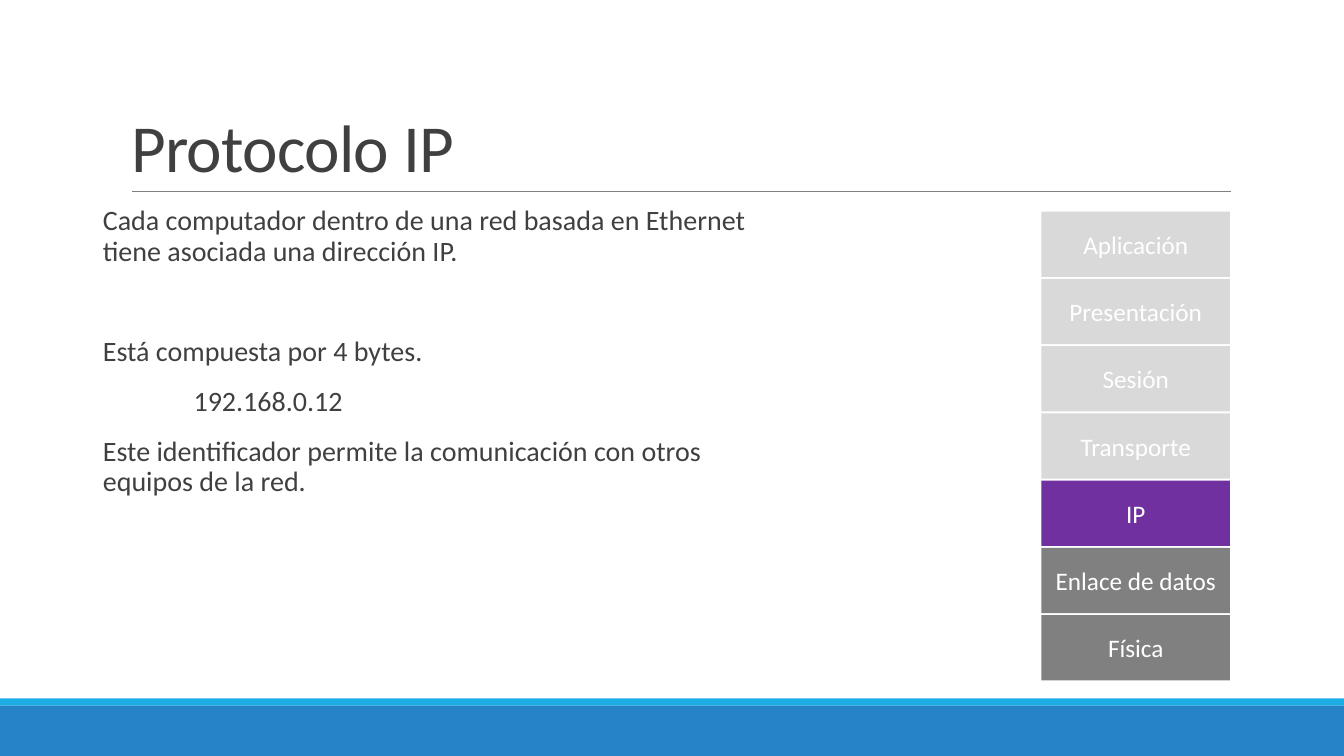
from lxml.etree import SubElement
from pptx import Presentation
from pptx.dml.color import RGBColor
from pptx.enum.shapes import MSO_CONNECTOR, MSO_SHAPE
from pptx.enum.text import MSO_ANCHOR, MSO_AUTO_SIZE, PP_ALIGN
from pptx.oxml.ns import qn
from pptx.util import Inches, Pt

BLUE = RGBColor(0x26, 0x83, 0xC6)
CYAN = RGBColor(0x1C, 0xAD, 0xE4)
INK = RGBColor(0x40, 0x40, 0x40)
GRAY = RGBColor(0x80, 0x80, 0x80)
PALE = RGBColor(0xD9, 0xD9, 0xD9)
PURPLE = RGBColor(0x70, 0x30, 0xA0)
WHITE = RGBColor(0xFF, 0xFF, 0xFF)

LAYERS = [
    ("Aplicación", PALE),
    ("Presentación", PALE),
    ("Sesión", PALE),
    ("Transporte", PALE),
    ("IP", PURPLE),
    ("Enlace de datos", GRAY),
    ("Física", GRAY),
]
POINTS = [
    ("Cada computador dentro de una red basada en Ethernet "
     "tiene asociada una dirección IP.", 0.1, 12),
    ("Está compuesta por 4 bytes.", 0.1, 48),
    ("192.168.0.12", 1, 12),
    ("Este identificador permite la comunicación con otros "
     "equipos de la red.", 0.1, 12),
]


def apply(item, values):
    """Set each attribute of the item from the dict."""
    for name, value in values.items():
        setattr(item, name, value)


def place(item, box):
    """Move the item to the box, given in inches."""
    names = ("left", "top", "width", "height")
    apply(item, dict(zip(names, map(Inches, box))))


def write(para, text, size, color, form):
    """Write one formatted run in the paragraph."""
    apply(para, form)
    run = para.add_run()
    run.text = text
    apply(run.font, {"name": "Calibri", "size": Pt(size)})
    run.font.color.rgb = color
    return run


def add_block(slide, box, fill):
    """Add a plain filled rectangle."""
    block = slide.shapes.add_shape(MSO_SHAPE.RECTANGLE, *map(Inches, box))
    block.shadow.inherit = False
    block.fill.solid()
    block.fill.fore_color.rgb = fill
    block.line.fill.background()
    return block


def add_footer(slide, box):
    """Draw the cyan strip and the blue band below it."""
    left, top, width, height = box
    strip = 0.07
    add_block(slide, (left, top, width, strip), CYAN)
    add_block(slide, (left, top + strip, width, height - strip), BLUE)


def add_title(slide, box):
    """Fill the title and draw the rule at its foot."""
    left, top, width, height = box
    title = slide.shapes.title
    place(title, box)
    frame = title.text_frame
    apply(frame, {"vertical_anchor": MSO_ANCHOR.BOTTOM, "word_wrap": True,
                  "auto_size": MSO_AUTO_SIZE.NONE})
    run = write(frame.paragraphs[0], "Protocolo IP", 48, INK,
                {"alignment": PP_ALIGN.LEFT, "line_spacing": 0.85})
    run.font._element.set("spc", "-50")
    foot = top + height
    ends = (left + 0.11, foot, left + width + 0.01, foot)
    rule = slide.shapes.add_connector(MSO_CONNECTOR.STRAIGHT,
                                      *map(Inches, ends))
    rule.line.color.rgb = GRAY
    rule.line.width = Pt(0.5)
    SubElement(rule._element.spPr, qn("a:effectLst"))


def add_body(slide, box):
    """Fill the body placeholder with the points."""
    body = slide.placeholders[1]
    place(body, box)
    frame = body.text_frame
    apply(frame, {"margin_left": 0, "margin_right": 0, "word_wrap": True,
                  "vertical_anchor": MSO_ANCHOR.TOP,
                  "auto_size": MSO_AUTO_SIZE.NONE})
    for i, (text, indent, before) in enumerate(POINTS):
        para = frame.add_paragraph() if i else frame.paragraphs[0]
        write(para, text, 20, INK,
              {"alignment": PP_ALIGN.LEFT, "line_spacing": 0.9,
               "space_before": Pt(before), "space_after": Pt(2)})
        props = para._p.get_or_add_pPr()
        props.set("marL", str(Inches(indent)))
        props.set("indent", "0")
        SubElement(props, qn("a:buNone"))


def add_stack(slide, box):
    """Stack the layers evenly in the box."""
    left, top, width, height = box
    gap = 0.02
    step = (height + gap) / len(LAYERS)
    for i, (name, fill) in enumerate(LAYERS):
        block = add_block(slide, (left, top + i * step, width, step - gap),
                          fill)
        frame = block.text_frame
        apply(frame, {"vertical_anchor": MSO_ANCHOR.MIDDLE,
                      "word_wrap": True})
        write(frame.paragraphs[0], name, 18, WHITE,
              {"alignment": PP_ALIGN.CENTER})


def main():
    """Build and save the slide."""
    deck = Presentation()
    apply(deck, {"slide_width": Inches(13.33), "slide_height": Inches(7.5)})
    slide = deck.slides.add_slide(deck.slide_layouts[1])
    add_footer(slide, (0, 6.93, 13.33, 0.57))
    add_title(slide, (1.2, 0.31, 11, 1.59))
    add_body(slide, (0.92, 2, 6.48, 4.76))
    add_stack(slide, (10.33, 2.1, 1.87, 4.65))
    deck.save("out.pptx")


if __name__ == "__main__":
    main()
